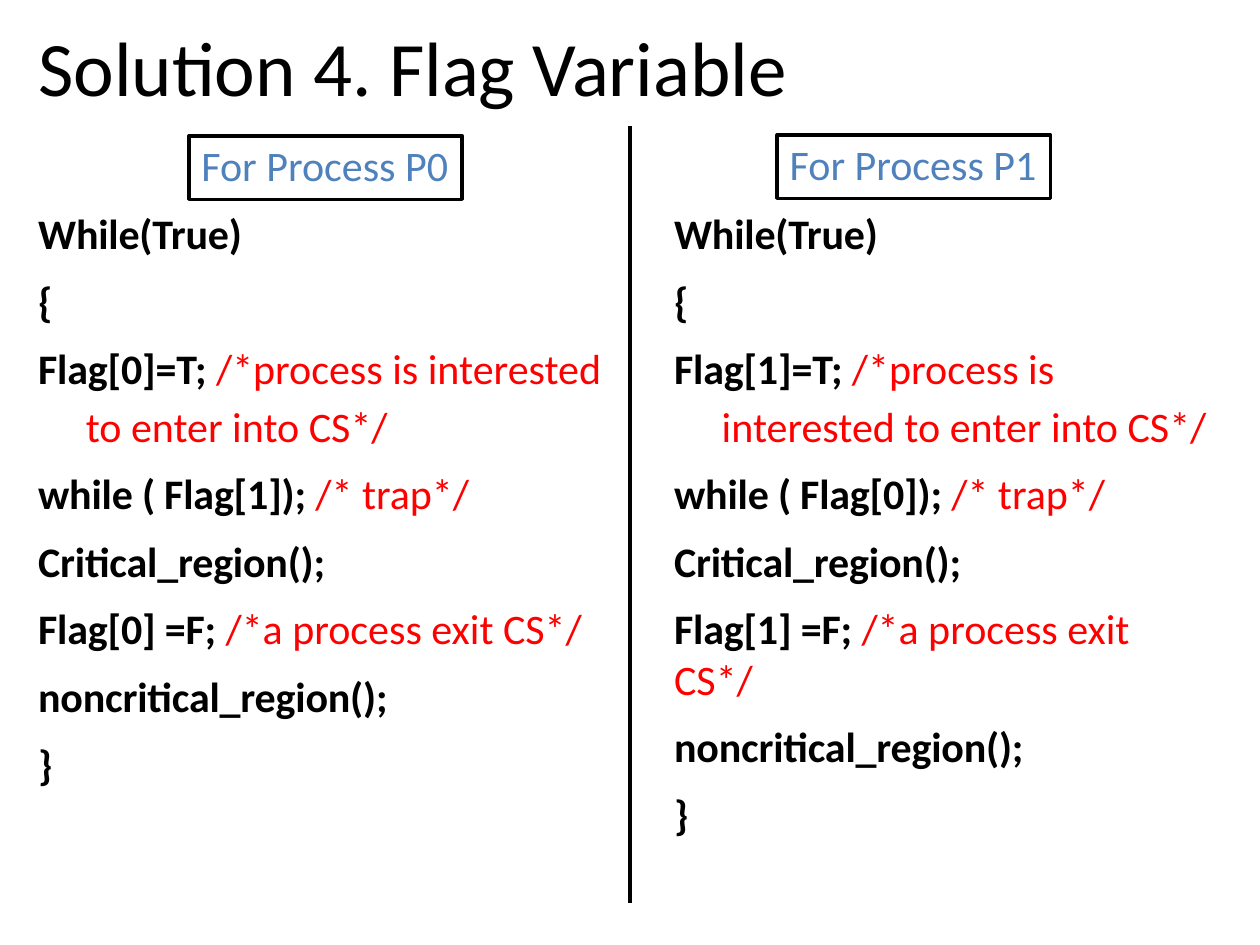
import pptx
import pptx.dml.color
import pptx.enum.shapes
import pptx.enum.text
import pptx.util
from pptx.util import Cm, Pt

BLACK, RED, BLUE = "000000", "FF0000", "4F81BC"


def color(value):
    return pptx.dml.color.RGBColor.from_string(value)


class Deck:
    font = "Calibri"
    line_width = Pt(2.04)

    def __init__(self, width, height):
        self.prs = pptx.Presentation()
        self.prs.slide_width, self.prs.slide_height = Cm(width), Cm(height)
        self.s = self.prs.slides.add_slide(self.prs.slide_layouts[6])

    def frame(self, sp, top=0, right=0):
        tf = sp.text_frame
        tf.word_wrap = True
        tf.vertical_anchor = pptx.enum.text.MSO_ANCHOR.TOP
        tf.margin_left = tf.margin_bottom = 0
        tf.margin_top, tf.margin_right = Cm(top), Cm(right)
        return tf

    def run(self, p, text, size, fill, bold=False, spacing=0):
        r = p.add_run()
        r.text = text
        r.font.name, r.font.size, r.font.bold = self.font, Pt(size), bold
        r.font.color.rgb = color(fill)
        if spacing:
            r.font._element.set("spc", str(round(spacing * 100)))

    def indent(self, p, left, first=0):
        pPr = p._p.get_or_add_pPr()
        pPr.set("marL", str(Cm(left)))
        pPr.set("indent", str(Cm(first)))

    def title(self, text, x, y, w, h):
        sp = self.s.shapes.add_textbox(Cm(x), Cm(y), Cm(w), Cm(h))
        p = self.frame(sp, 0.03).paragraphs[0]
        self.indent(p, 0.03)
        self.run(p, text, 44, BLACK)

    def label(self, text, x, y, w, h):
        sp = self.s.shapes.add_shape(
            pptx.enum.shapes.MSO_SHAPE.RECTANGLE, Cm(x), Cm(y), Cm(w), Cm(h))
        sp.shadow.inherit = False
        sp.fill.background()
        sp.line.color.rgb, sp.line.width = color(BLACK), self.line_width
        p = self.frame(sp, 0.08).paragraphs[0]
        p.alignment = pptx.enum.text.PP_ALIGN.LEFT
        self.indent(p, 0.25)
        self.run(p, text, 24, BLUE)

    def code(self, lines, x, y, w, h, right=0):
        sp = self.s.shapes.add_textbox(Cm(x), Cm(y), Cm(w), Cm(h))
        tf = self.frame(sp, 0.38, right)
        for i, (statement, comment, hanging) in enumerate(lines):
            p = tf.add_paragraph() if i else tf.paragraphs[0]
            if hanging:
                self.indent(p, 0.99, -0.96)
                p.line_spacing = 1.14
            else:
                self.indent(p, 0.03)
            if i:
                p.space_before = Pt(5.7 if hanging else 9.8)
            self.run(p, statement, 24, BLACK, True, -0.1)
            if comment:
                self.run(p, comment, 24, RED)

    def divider(self, x, top, bottom):
        sp = self.s.shapes.add_connector(
            pptx.enum.shapes.MSO_CONNECTOR.STRAIGHT,
            Cm(x), Cm(top), Cm(x), Cm(bottom))
        sp.line.color.rgb, sp.line.width = color(BLACK), self.line_width
        sp._element.spPr.append(pptx.oxml.parse_xml(
            '<a:effectLst xmlns:a='
            '"http://schemas.openxmlformats.org/drawingml/2006/main"/>'))


def process_lines(own, other):
    """Statement, comment and hanging indent of each code line."""
    return [
        ("While(True)", "", False),
        ("{", "", False),
        (f"Flag[{own}]=T; ",
         "/*process is interested to enter into CS*/", True),
        (f"while ( Flag[{other}]); ", "/* trap*/", False),
        ("Critical_region();", "", False),
        (f"Flag[{own}] =F; ", "/*a process exit CS*/", False),
        ("noncritical_region();", "", False),
        ("}", "", False),
    ]


def main():
    deck = Deck(25.4, 19.05)

    # Title
    deck.title("Solution 4. Flag Variable", 0.74, 0.36, 23.9, 1.93)

    # Code of the two processes
    deck.code(process_lines(0, 1), 0.74, 3.81, 11.46, 12.12)
    deck.code(process_lines(1, 0), 13.56, 3.81, 11.07, 12.12, right=0.25)

    # Column labels
    deck.label("For Process P0", 3.81, 2.74, 5.51, 1.28)
    deck.label("For Process P1", 15.67, 2.72, 5.51, 1.28)

    # Line between the columns
    deck.divider(12.7, 2.54, 18.21)

    deck.prs.save("out.pptx")


if __name__ == "__main__":
    main()
